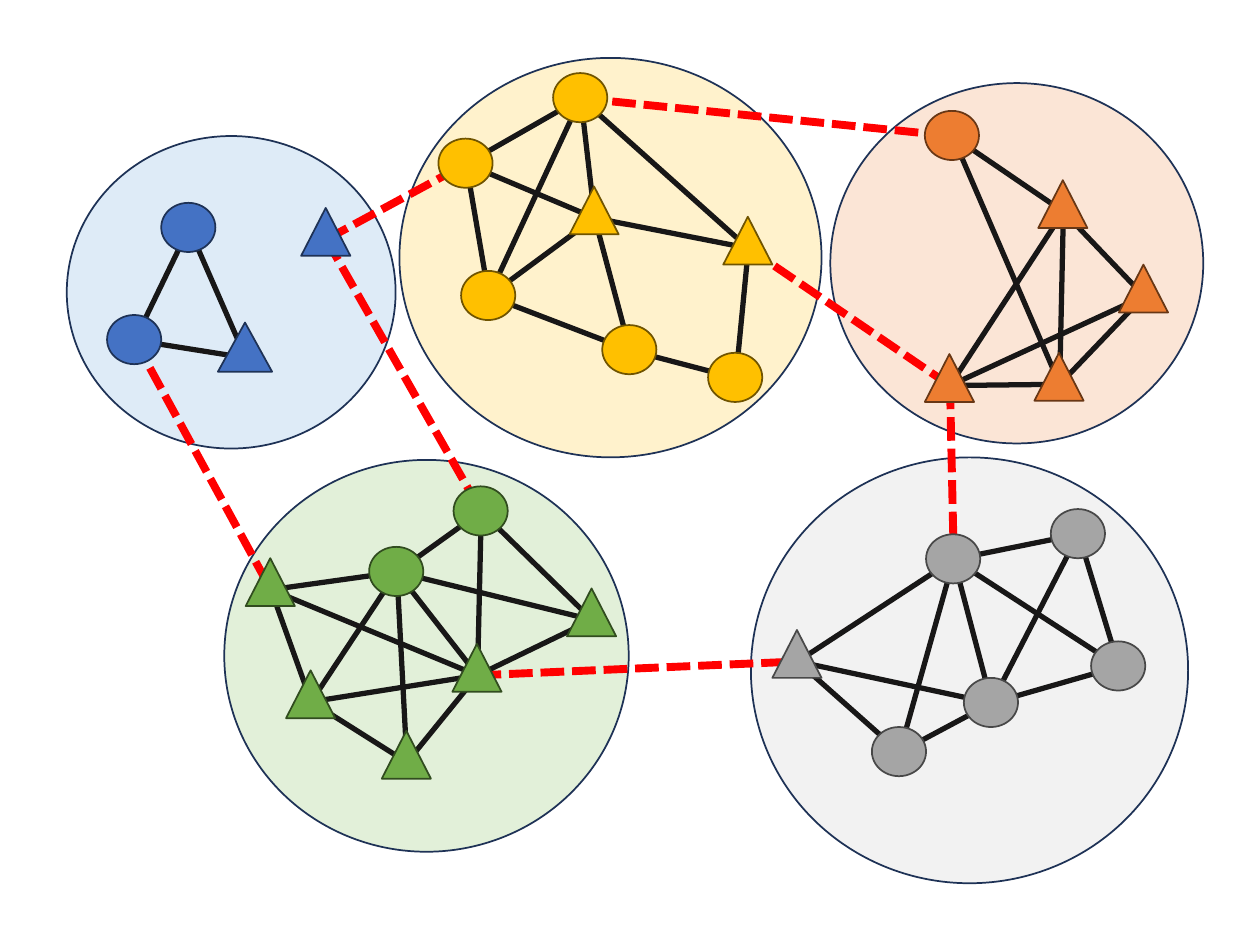
from pptx import Presentation
from pptx.dml.color import RGBColor
from pptx.enum.dml import MSO_LINE
from pptx.enum.shapes import MSO_CONNECTOR, MSO_SHAPE
from pptx.oxml.ns import qn
from pptx.util import Inches, Pt
from lxml.etree import SubElement

THEME = {
    "rim": "1E3256", "edge": "181717", "bridge": "FF0000",
    "thin": 1, "bold": 3, "heavy": 4.5,
    # halo, node fill, node outline
    "blue": ("DEEBF7", "4472C4", "1E3256"),
    "green": ("E2F0D9", "70AD47", "314C1F"),
    "gold": ("FFF2CC", "FFC000", "705400"),
    "orange": ("FBE5D6", "ED7D31", "683715"),
    "gray": ("F2F2F2", "A5A5A5", "484848"),
}

# Preset shape, size, and the point inside it where links meet
KINDS = {
    "dot": (MSO_SHAPE.OVAL, (0.43, 0.39), (0.22, 0.2)),
    "tri": (MSO_SHAPE.ISOSCELES_TRIANGLE, (0.39, 0.38), (0.2, 0.25)),
    "wide": (MSO_SHAPE.ISOSCELES_TRIANGLE, (0.43, 0.39), (0.22, 0.28)),
}

# Nodes are lettered a, b, c... in the order listed; edges pair the letters
CLUSTERS = {
    "blue": {
        "halo": (0.53, 1.08, 2.61, 2.48),
        "dot": [(0.85, 2.5), (1.28, 1.61)],
        "tri": [(2.39, 1.65)],
        "wide": [(1.73, 2.56)],
        "edges": "bd ba da",
    },
    "green": {
        "halo": (1.78, 3.65, 3.21, 3.11),
        "dot": [(3.6, 3.86), (2.93, 4.34)],
        "tri": [(1.95, 4.43), (2.27, 5.32), (3.03, 5.8), (4.5, 4.67),
                (3.59, 5.11)],
        "edges": "bg de dg eg db eb dc bc gc ga ba fa gf fb",
    },
    "gold": {
        "halo": (3.17, 0.46, 3.35, 3.17),
        "dot": [(3.48, 1.1), (3.66, 2.15), (4.39, 0.58), (4.78, 2.58),
                (5.62, 2.8)],
        "tri": [(4.52, 1.48), (5.74, 1.72)],
        "edges": "fd cf ed ge gf fb bd ba fa ca cg cb",
    },
    "orange": {
        "halo": (6.59, 0.66, 2.96, 2.86),
        "dot": [(7.34, 0.88)],
        "tri": [(8.88, 2.1), (8.21, 2.8), (7.34, 2.81), (8.24, 1.43)],
        "edges": "bc ec eb cd ed bd ea ca",
    },
    "gray": {
        "halo": (5.96, 3.63, 3.47, 3.38),
        "dot": [(8.34, 4.04), (7.35, 4.24), (8.66, 5.09), (7.65, 5.38),
                (6.92, 5.77)],
        "tri": [(6.13, 5)],
        "edges": "bf be ed dc ac bd bc ba ad ef df",
    },
}

# Dashed links between clusters
BRIDGES = [
    ("gold g", "orange d"), ("gold c", "orange a"), ("blue c", "gold a"),
    ("blue c", "green a"), ("green g", "gray f"), ("blue a", "green c"),
    ("orange d", "gray b"),
]

deck = Presentation()
deck.slide_width, deck.slide_height = Inches(10), Inches(7.5)
slide = deck.slides.add_slide(deck.slide_layouts[6])


def add_form(kind, box, fill, rim):
    form = slide.shapes.add_shape(kind, *map(Inches, box))
    form.shadow.inherit = False
    form.fill.solid()
    form.fill.fore_color.rgb = RGBColor.from_string(fill)
    form.line.color.rgb = RGBColor.from_string(rim)
    form.line.width = Pt(THEME["thin"])


def add_link(start, end, color, style):
    link = slide.shapes.add_connector(
        MSO_CONNECTOR.STRAIGHT, *map(Inches, start + end))
    link.line.color.rgb = RGBColor.from_string(color)
    for name, value in style.items():
        setattr(link.line, name, value)
    SubElement(link._element.spPr, qn("a:effectLst"))


hubs = {}
for hue, group in CLUSTERS.items():
    add_form(MSO_SHAPE.OVAL, group["halo"], THEME[hue][0], THEME["rim"])
    letters = iter("abcdefg")
    for kind, (preset, size, hub) in KINDS.items():
        for left, top in group.get(kind, []):
            hubs[f"{hue} {next(letters)}"] = (left + hub[0], top + hub[1])

dashed = {"width": Pt(THEME["heavy"]), "dash_style": MSO_LINE.SQUARE_DOT}
for start, end in BRIDGES:
    add_link(hubs[start], hubs[end], THEME["bridge"], dashed)

solid = {"width": Pt(THEME["bold"])}
for hue, group in CLUSTERS.items():
    for start, end in group["edges"].split():
        add_link(hubs[f"{hue} {start}"], hubs[f"{hue} {end}"],
                 THEME["edge"], solid)
    for kind, (preset, size, hub) in KINDS.items():
        for spot in group.get(kind, []):
            add_form(preset, spot + size, *THEME[hue][1:])

deck.save("out.pptx")
